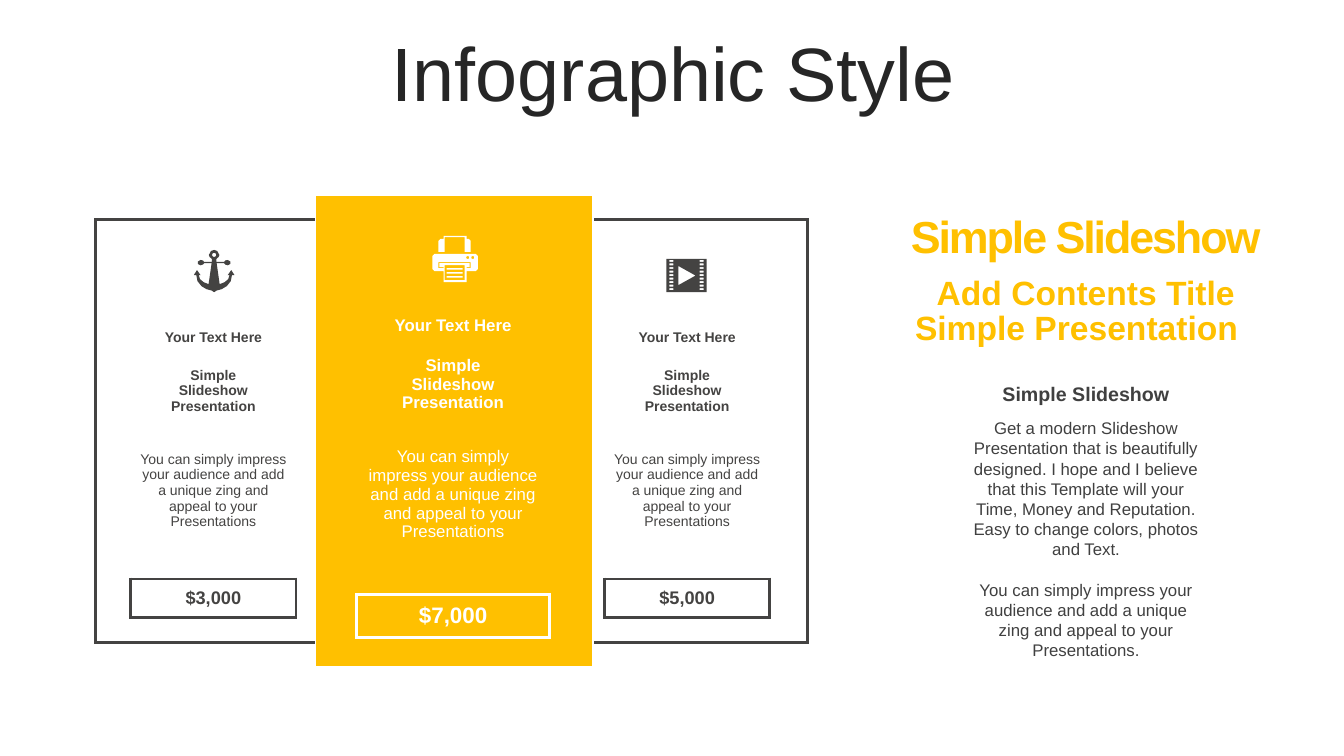
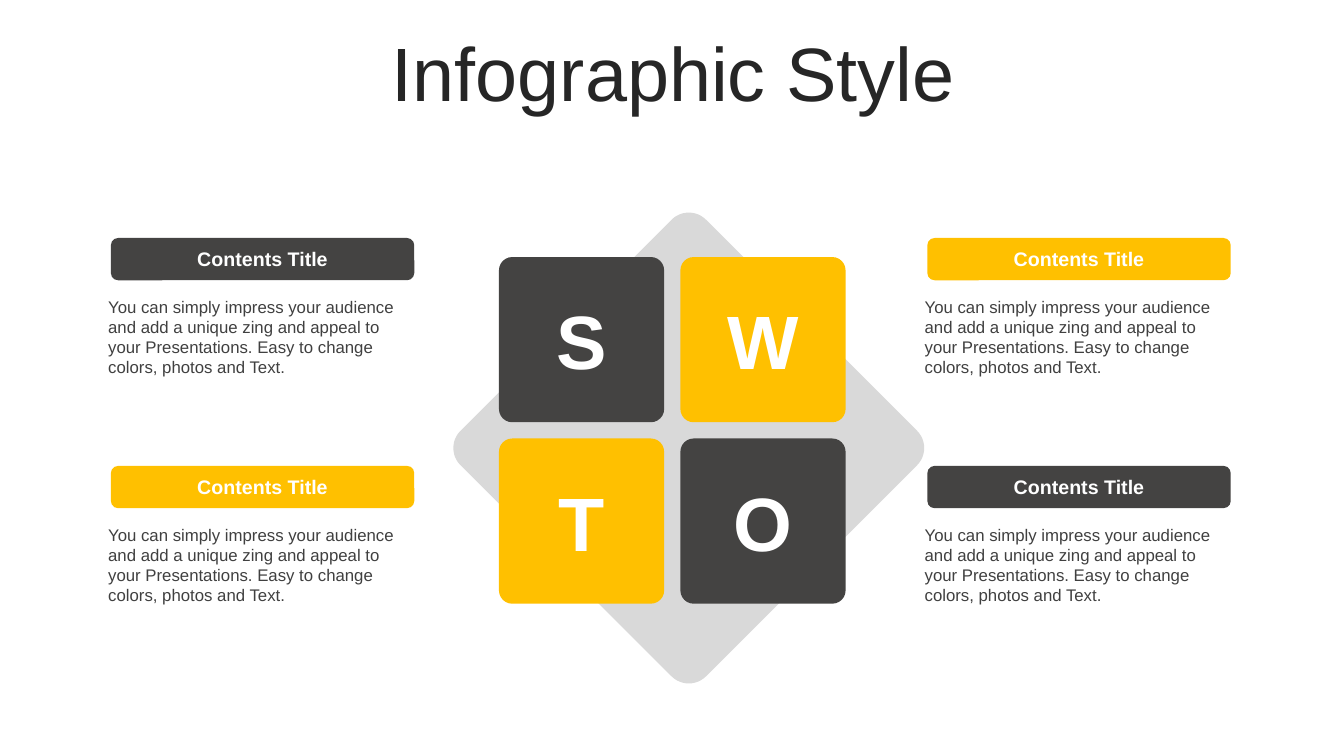
from math import cos, pi, sin

from lxml import etree
from pptx import Presentation
from pptx.dml.color import RGBColor
from pptx.enum.shapes import MSO_SHAPE
from pptx.enum.text import MSO_ANCHOR, PP_ALIGN
from pptx.oxml.ns import qn
from pptx.util import Pt

CENTER, LEFT = PP_ALIGN.CENTER, PP_ALIGN.LEFT
MIDDLE, TOP = MSO_ANCHOR.MIDDLE, MSO_ANCHOR.TOP
ROUND_RECT = MSO_SHAPE.ROUNDED_RECTANGLE

# Shared style
FONT = "Arial"
YELLOW, DARK, WHITE, GRAY = "FFC000", "444342", "FFFFFF", "D9D9D9"
TITLE_INK, BODY_INK = "262626", "404040"
INSETS = (7.2, 3.6)
BODY_LINE = 14.4

# Content
TITLE = "Infographic Style"
PLAN_TEXT = {
    1: ["Your Text Here"],
    2: ["Simple", "Slideshow Presentation"],
    3: ["You can simply impress your audience and add a unique zing "
        "and appeal to your Presentations"],
}
PRICE_ROW = 5
SIDE_STYLE = dict(
    cols=(25, 118, 27), rows=(72, 24, 52.5, 90, 18, 27.5, 18),
    fill=WHITE, ink=DARK, edge=2.25, size=10, price_size=13, line=11.2,
    insets=(5.8, 2.9))
FEATURED_STYLE = dict(
    cols=(29.5, 137.5, 31), rows=(80, 26, 57.5, 100, 21.5, 30.5, 21.5),
    fill=YELLOW, ink=WHITE, edge=1.5, size=12, price_size=16, line=13.4,
    insets=INSETS)
PRICE_EDGE = 2.25
# price, left, top, style; the featured plan lies in front
PLANS = [
    ("$5,000", 406.8, 157, SIDE_STYLE),
    ("$3,000", 68.4, 157, SIDE_STYLE),
    ("$7,000", 225.4, 139.7, FEATURED_STYLE),
]
PITCH = [
    "Get a modern Slideshow Presentation that is beautifully designed. "
    "I hope and I believe that this Template will your Time, Money and "
    "Reputation. Easy to change colors, photos and Text.",
    "You can simply impress your audience and add a unique zing and appeal "
    "to your Presentations.",
]
QUADRANT_TITLE = "Contents Title"
QUADRANT_TEXT = ("You can simply impress your audience and add a unique zing "
                 "and appeal to your Presentations. Easy to change colors, "
                 "photos and Text.")
QUADRANTS = [("S", DARK), ("W", YELLOW), ("T", YELLOW), ("O", DARK)]

# Icon outlines, on a grid of ICON_UNIT points
ICON_UNIT = 0.72


def box(left, top, right, bottom):
    return [(left, top), (right, top), (right, bottom), (left, bottom)]


def circle(x, y, radius, steps=20):
    angles = [2 * pi * i / steps for i in range(steps)]
    return [(x + radius * cos(a), y + radius * sin(a)) for a in angles]


FILM = [box(0, 0, 40, 33), [(12, 7), (12, 26), (29, 16.5)]]
FILM += [box(x, 1 + 3.5 * i, x + 4, 3 + 3.5 * i)
         for x in (3, 33) for i in range(9)]

ANCHOR_HALF = [
    (0, 0), (3, 1), (5.2, 5), (4.5, 7), (2.2, 9), (2.2, 12), (10, 12),
    (11, 10.5), (13.5, 10), (16, 11.5), (16, 14), (13.5, 15.3), (11, 14.5),
    (10, 13.2), (2.5, 13.2), (5.5, 34), (10.5, 32), (14, 29), (15.2, 25),
    (13.5, 25), (17, 20), (20.2, 25), (17.7, 25), (16.5, 31), (12.5, 36),
    (7.5, 39), (2.5, 40.3), (0, 42)]
ANCHOR = [ANCHOR_HALF + [(-x, y) for x, y in ANCHOR_HALF[-2:0:-1]],
          circle(0, 5, 2)]

PRINTER = [
    # Body, sheet, slot, lights and paper tray
    [(0, 20), (2, 18), (43, 18), (45, 20), (45, 33), (43, 35), (34, 35),
     (34, 46), (11, 46), (11, 35), (2, 35), (0, 33)],
    box(12, 29, 32, 44), box(14, 32, 30, 33.5), box(14, 36, 30, 37.5),
    box(14, 40, 30, 41.5),
    [(6, 26), (38, 26), (38, 32), (34, 32), (34, 31), (37, 31), (37, 27),
     (7, 27), (7, 31), (11, 31), (11, 32), (6, 32)],
    circle(35, 21.5, 1.5), circle(40, 21.5, 1.5),
    [(11, 0), (34, 0), (34, 3), (36, 3), (38, 5), (38, 16), (32, 16),
     (32, 1.3), (12, 1.3), (12, 16), (6, 16), (6, 5), (8, 3), (11, 3)],
]
# contours, x and y of the grid origin, colour
ICONS = [(FILM, 476, 185, DARK), (ANCHOR, 153, 178.5, DARK),
         (PRINTER, 308.9, 168.5, WHITE)]


# Helpers
def rgb(value):
    return RGBColor.from_string(value)


def write(frame, paragraphs, size, color, bold=False, align=CENTER,
          anchor=TOP, insets=INSETS, line=None, gap=0):
    frame.word_wrap = True
    frame.vertical_anchor = anchor
    frame.margin_left = frame.margin_right = Pt(insets[0])
    frame.margin_top = frame.margin_bottom = Pt(insets[1])
    style_paragraphs(frame, paragraphs, size, color, bold, align, line, gap)


def style_paragraphs(frame, paragraphs, size, color, bold=False,
                     align=CENTER, line=None, gap=0):
    for i, text in enumerate(paragraphs):
        paragraph = frame.add_paragraph() if i else frame.paragraphs[0]
        paragraph.text = text
        paragraph.alignment = align
        if line:
            paragraph.line_spacing = line
        if i and gap:
            paragraph.space_before = Pt(gap)
        font = paragraph.font
        font.name, font.size, font.bold = FONT, Pt(size), bold
        font.color.rgb = rgb(color)


def add_text(slide, area, paragraphs, size, color, **style):
    frame = slide.shapes.add_textbox(*map(Pt, area)).text_frame
    write(frame, paragraphs, size, color, **style)
    return frame


def paint(shape, color):
    shape.shadow.inherit = False
    shape.fill.solid()
    shape.fill.fore_color.rgb = rgb(color)
    shape.line.fill.background()


def add_panel(slide, area, color, rounding):
    panel = slide.shapes.add_shape(ROUND_RECT, *map(Pt, area))
    paint(panel, color)
    panel.adjustments[0] = rounding
    return panel


def add_icon(slide, contours, left, top, color):
    builder = None
    for contour in contours:
        points = [(Pt(left + x * ICON_UNIT), Pt(top + y * ICON_UNIT))
                  for x, y in contour]
        if builder is None:
            builder = slide.shapes.build_freeform(*points[0])
        else:
            builder.move_to(*points[0])
        builder.add_line_segments(points[1:], close=True)
    paint(builder.convert_to_shape(), color)


def set_borders(cell, widths, color):
    properties = cell._tc.get_or_add_tcPr()
    for side in "LRTB":
        width = widths.get(side, 0)
        line = etree.SubElement(properties, qn(f"a:ln{side}"), w=str(Pt(width)))
        if width:
            fill = etree.SubElement(line, qn("a:solidFill"))
            etree.SubElement(fill, qn("a:srgbClr"), val=color)
        else:
            etree.SubElement(line, qn("a:noFill"))


def plan_borders(row, col, edge):
    widths = {}
    if col == 0:
        widths["L"] = edge
    if col == 2:
        widths["R"] = edge
    if row == 0:
        widths["T"] = edge
    if row == 6:
        widths["B"] = edge
    # The price cell is framed, and its neighbours share that frame
    framed = {(0, 0): "LRTB", (0, -1): "R", (0, 1): "L", (-1, 0): "B",
              (1, 0): "T"}
    for side in framed.get((row - PRICE_ROW, col - 1), ""):
        widths[side] = PRICE_EDGE
    return widths


def add_plan(slide, price, left, top, style):
    cols, rows = style["cols"], style["rows"]
    area = (left, top, sum(cols), sum(rows))
    plan = slide.shapes.add_table(len(rows), len(cols), *map(Pt, area)).table
    plan.first_row = plan.horz_banding = False
    for column, width in zip(plan.columns, cols):
        column.width = Pt(width)
    for r, height in enumerate(rows):
        plan.rows[r].height = Pt(height)
        for c in range(len(cols)):
            cell = plan.cell(r, c)
            set_borders(cell, plan_borders(r, c, style["edge"]), style["ink"])
            cell.fill.solid()
            cell.fill.fore_color.rgb = rgb(style["fill"])
            is_price = r == PRICE_ROW
            texts = [price] if is_price else PLAN_TEXT.get(r)
            if c != 1 or not texts:
                # Small type keeps empty rows at their set height
                paragraph = cell.text_frame.paragraphs[0]
                paragraph._p.get_or_add_endParaRPr().set("sz", "600")
                cell.margin_top = cell.margin_bottom = 0
                continue
            cell.vertical_anchor = MIDDLE
            cell.margin_left = cell.margin_right = Pt(style["insets"][0])
            cell.margin_top = cell.margin_bottom = Pt(style["insets"][1])
            style_paragraphs(
                cell.text_frame, texts,
                style["price_size"] if is_price else style["size"],
                style["ink"], bold=r != 3,
                line=None if is_price else Pt(style["line"]))


def add_slide(deck):
    return deck.slides.add_slide(deck.slide_layouts[6])


def add_title(slide):
    add_text(slide, (25, 26.6, 912, 57), [TITLE], 54, TITLE_INK,
             anchor=MIDDLE, line=0.9)


def build_pricing(deck):
    slide = add_slide(deck)
    add_title(slide)
    for plan in PLANS:
        add_plan(slide, *plan)
    for icon in ICONS:
        add_icon(slide, *icon)

    # Pitch on the right
    headline = add_text(slide, (623, 145.5, 305, 46), ["Simple Slideshow"],
                        32, YELLOW, bold=True)
    headline.paragraphs[0].runs[0]._r.get_or_add_rPr().set("spc", "-150")
    add_text(slide, (639.5, 191, 272, 36), ["Add Contents Title"],
             24, YELLOW, bold=True)
    add_text(slide, (633, 216, 272, 36), ["Simple Presentation"],
             24, YELLOW, bold=True)
    add_text(slide, (687.5, 269, 176.5, 24.5), ["Simple Slideshow"],
             14, BODY_INK, bold=True)
    add_text(slide, (687.5, 295, 176.5, 181), PITCH, 12, BODY_INK,
             line=Pt(BODY_LINE), gap=BODY_LINE)


def build_swot(deck):
    slide = add_slide(deck)
    diamond = add_panel(slide, (368, 196, 248, 248), GRAY, 0.07)
    diamond.rotation = 315
    add_title(slide)
    for i, (letter, color) in enumerate(QUADRANTS):
        row, col = divmod(i, 2)
        # Letter tile
        tile = add_panel(slide, (356.4 + 129.6 * col, 183.6 + 129.6 * row,
                                 118, 118), color, 0.08)
        write(tile.text_frame, [letter], 54, WHITE, bold=True,
              anchor=MIDDLE, insets=(0, 0))
        # Heading and text beside it
        left, top = 79.2 + 583.2 * col, 170 + 162.8 * row
        heading = add_panel(slide, (left, top, 216.7, 30.2), color, 0.17)
        write(heading.text_frame, [QUADRANT_TITLE], 14, WHITE, bold=True,
              anchor=MIDDLE)
        add_text(slide, (left - 9, top + 38.2, 234.7, 65.5), [QUADRANT_TEXT],
                 12, BODY_INK, align=LEFT, line=Pt(BODY_LINE))


def main():
    deck = Presentation()
    deck.slide_width, deck.slide_height = Pt(960), Pt(540)
    build_pricing(deck)
    build_swot(deck)
    deck.save("out.pptx")


if __name__ == "__main__":
    main()
